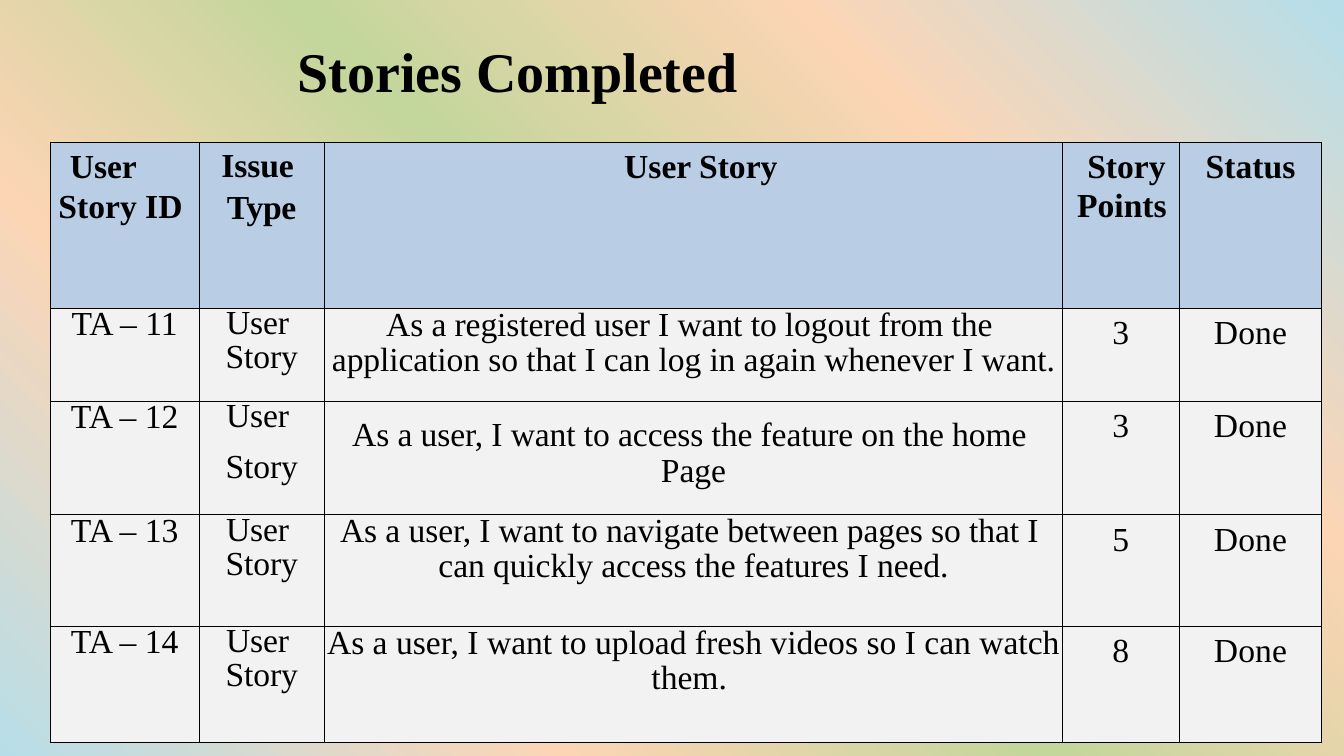
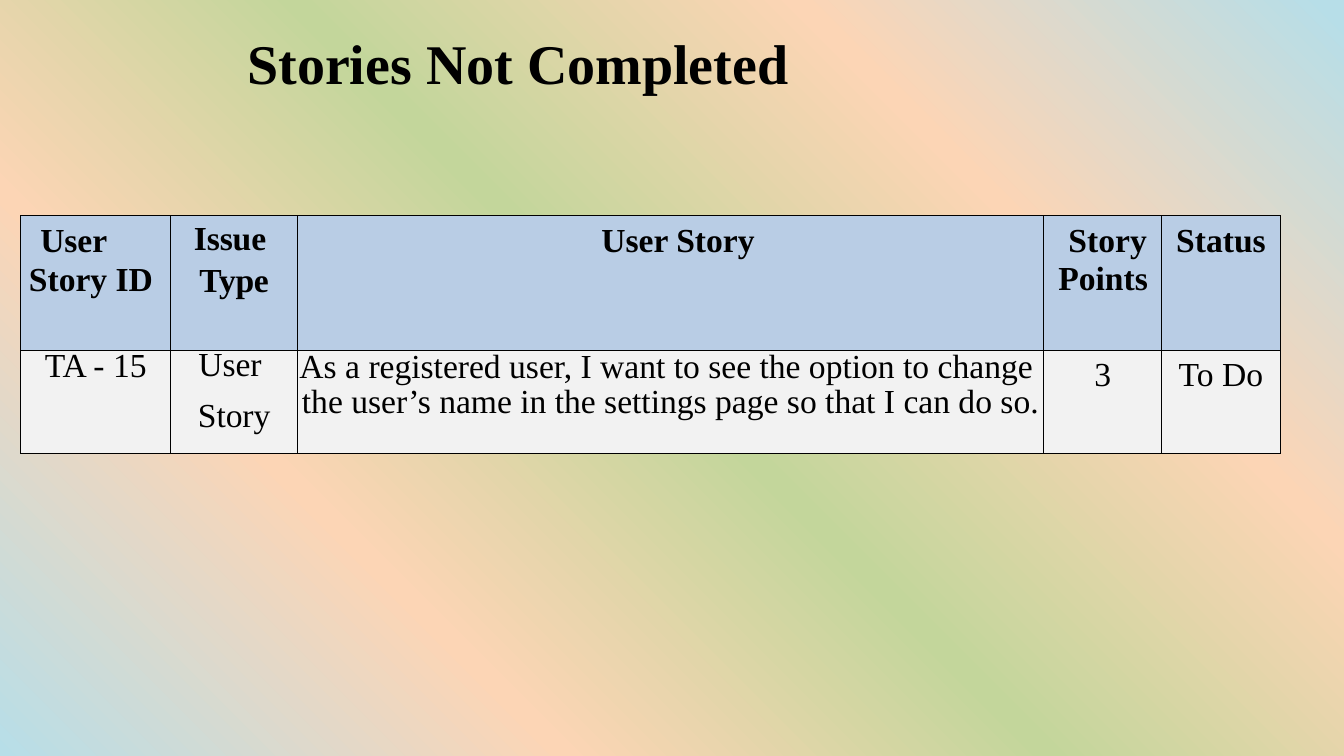
"""Build two sprint review slides that list finished and unfinished user stories."""
from typing import NamedTuple

from lxml.etree import SubElement
from pptx import Presentation
from pptx.dml.color import RGBColor
from pptx.enum.text import MSO_ANCHOR as Anchor, MSO_AUTO_SIZE as AutoSize, PP_ALIGN as Align
from pptx.oxml.ns import qn
from pptx.util import Inches, Pt

FONT = "Times New Roman"
INK, HEADER_FILL, BODY_FILL = "000000", "B9CDE5", "F2F2F2"
BLUE, PEACH, GREEN = "B7DEE8", "FCD5B5", "C3D69B"
GRADIENT = [(1, BLUE), (26, PEACH), (50, GREEN), (73, PEACH), (100, BLUE)]
COLUMNS, ROWS = 80, 45
TITLE_ONLY = 5


class Line(NamedTuple):
    text: str
    pitch: float
    left: float = 0
    align: Align = Align.CENTER
    tracking: float = 0


HEADER = [
    [Line("User", 46.8, 1.16, Align.LEFT, -0.1), Line("Story ID", 42.7, 0.48, Align.LEFT)],
    [Line("Issue ", 45, tracking=-0.1), Line("Type", 45, tracking=-0.3)],
    [Line("User Story", 46.8, 0.88)],
    [Line("Story", 46.8, 1.48, Align.LEFT), Line("Points", 41.5, 0.88, Align.LEFT)],
    [Line("Status", 46.8)],
]


def rgb(value):
    return RGBColor.from_string(value)


def story_row(story_id, first, second, points, status, type_gap=36.2, lead=37.8, tracking=-0.1):
    return [
        [Line(story_id, 37.2)],
        [Line("User ", 36.2, tracking=-0.1), Line("Story", type_gap, tracking=-0.1)],
        [Line(first, lead, tracking=tracking), Line(second, 37.8, tracking=tracking)],
        [Line(points, 46.8)],
        [Line(status, 46.8, tracking=0.1)],
    ]


class Deck:
    def __init__(self):
        self.prs = Presentation()
        self.prs.slide_width, self.prs.slide_height = Inches(20), Inches(11.25)
        self.s = None

    def x(self, columns):
        return round(self.prs.slide_width * columns / COLUMNS)

    def y(self, rows):
        return round(self.prs.slide_height * rows / ROWS)

    def slide(self):
        self.s = self.prs.slides.add_slide(self.prs.slide_layouts[TITLE_ONLY])
        fill = self.s.background.fill
        fill.gradient()
        fill.gradient_angle = 225
        stops = next(self.s.element.iter(qn("a:gsLst")))
        stops.clear()
        for percent, colour in GRADIENT:
            stop = SubElement(stops, qn("a:gs"), pos=str(percent * 1000))
            SubElement(stop, qn("a:srgbClr"), val=colour)

    def style(self, p, size, bold, tracking=0):
        for r in p.runs:
            font = r.font
            font.name, font.size, font.bold = FONT, Pt(size), bold
            font.color.rgb = rgb(INK)
            if tracking:
                r._r.get_or_add_rPr().set("spc", str(round(tracking * 100)))

    def title(self, text, left, top):
        sp = self.s.shapes.title
        sp.left, sp.top = self.x(left), self.y(top)
        sp.width, sp.height = self.x(40.56), self.y(4.44)
        tf = sp.text_frame
        tf.text = text
        tf.word_wrap, tf.auto_size = True, AutoSize.NONE
        tf.vertical_anchor = Anchor.TOP
        p = tf.paragraphs[0]
        p.alignment = Align.LEFT
        self.style(p, 60, True)

    def cell(self, cell, lines, header):
        cell.margin_left = cell.margin_right = cell.margin_top = cell.margin_bottom = 0
        tc_pr = cell._tc.get_or_add_tcPr()
        for side in ("lnL", "lnR", "lnT", "lnB"):
            ln = SubElement(tc_pr, qn(f"a:{side}"), w=str(Pt(1)))
            SubElement(SubElement(ln, qn("a:solidFill")), qn("a:srgbClr"), val=INK)
        cell.fill.solid()
        cell.fill.fore_color.rgb = rgb(HEADER_FILL if header else BODY_FILL)
        tf = cell.text_frame
        tf.text = "\n".join(line.text for line in lines)
        for p, line in zip(tf.paragraphs, lines):
            p.alignment, p.line_spacing = line.align, Pt(line.pitch)
            p._p.get_or_add_pPr().set("marL", str(self.x(line.left)))
            self.style(p, 36, header, line.tracking)

    def table(self, left, top, widths, heights, stories):
        rows = [HEADER, *stories]
        table = self.s.shapes.add_table(
            len(rows), len(widths), self.x(left), self.y(top),
            self.x(sum(widths)), self.y(sum(heights))).table
        for column, width in zip(table.columns, widths):
            column.width = self.x(width)
        for i, (row, height) in enumerate(zip(table.rows, heights)):
            row.height = self.y(height)
            for cell, lines in zip(row.cells, rows[i]):
                self.cell(cell, lines, i == 0)


def main():
    deck = Deck()

    deck.slide()
    deck.title("Stories Completed", 17.32, 2)
    deck.table(3, 8.48, [8.84, 7.48, 43.92, 6.96, 8.48], [9.88, 5.52, 6.76, 6.64, 6.92], [
        story_row("TA – 11", "As a registered user I want to logout from the ",
                  "application so that I can log in again whenever I want.", "3", "Done"),
        story_row("TA – 12", "As a user, I want to access the feature on the home ",
                  "Page", "3", "Done", type_gap=54.3, lead=56.7),
        story_row("TA – 13", "As a user, I want to navigate between pages so that I ",
                  "can quickly access the features I need.", "5", "Done"),
        story_row("TA – 14", "As a user, I want to upload fresh videos so I can watch ",
                  "them. ", "8", "Done", tracking=0),
    ])

    deck.slide()
    deck.title("Stories Not Completed", 14.32, 1.52)
    deck.table(1.24, 12.84, [8.92, 7.56, 44.4, 7.04, 7.04], [8, 6.12], [
        story_row("TA - 15", "As a registered user, I want to see the option to change ",
                  "the user’s name in the settings page so that I can do so.",
                  "3", "To Do", type_gap=54.3, tracking=0),
    ])

    deck.prs.save("out.pptx")


if __name__ == "__main__":
    main()
